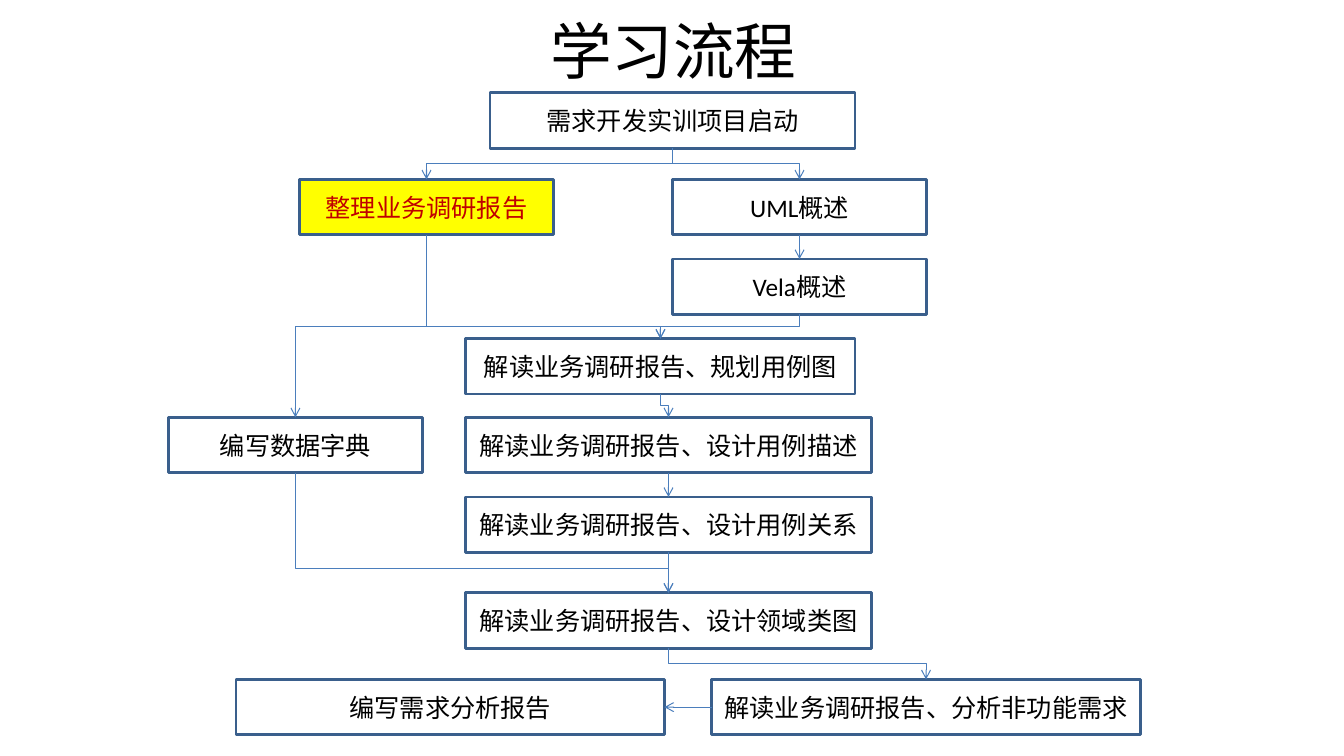
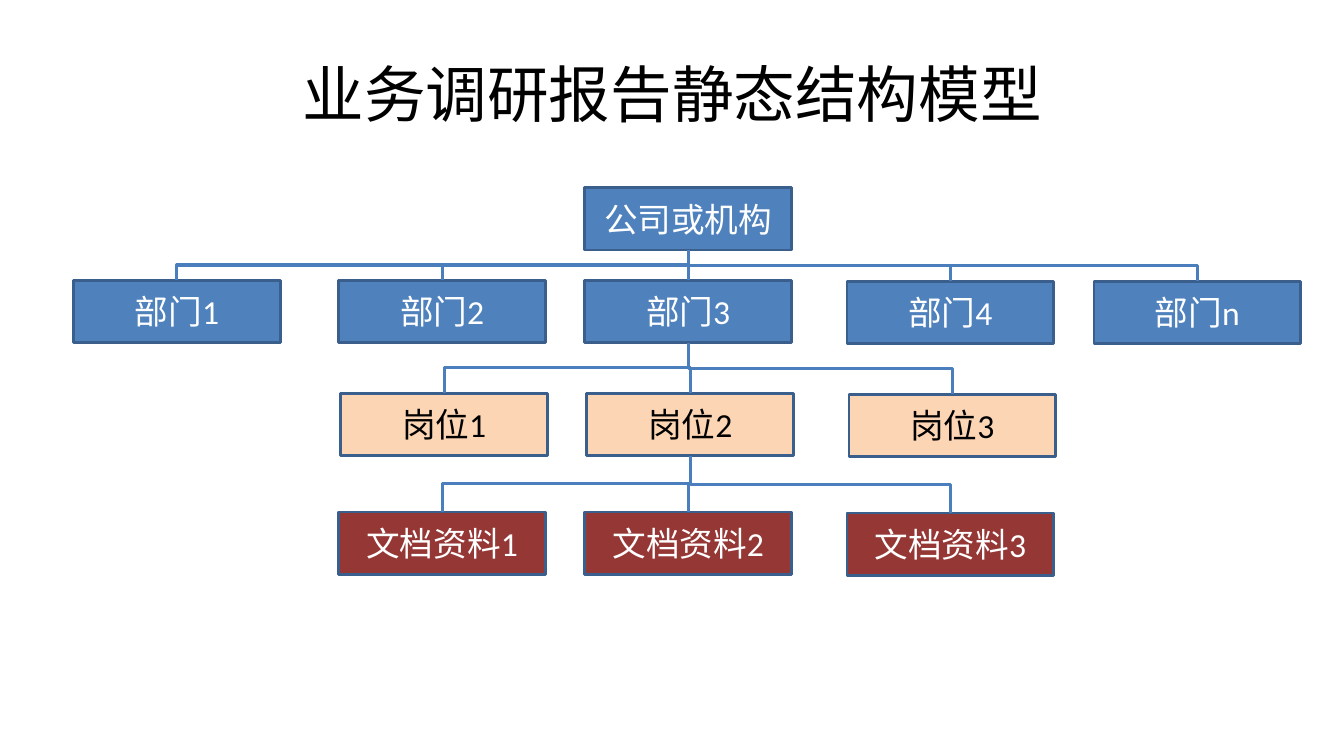
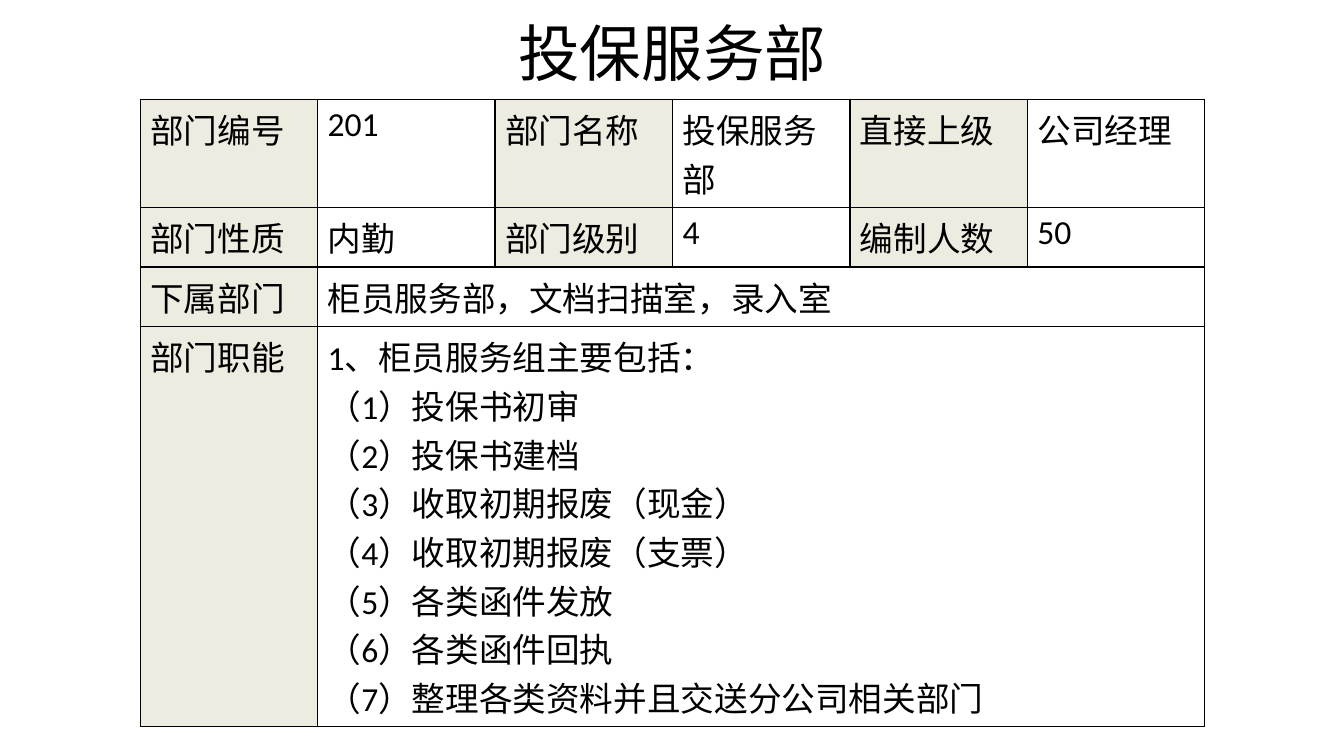
import pptx
import pptx.dml.color
import pptx.enum.shapes
import pptx.enum.text
import pptx.oxml.ns
import pptx.util

Inches = pptx.util.Inches
Pt = pptx.util.Pt
qn = pptx.oxml.ns.qn
Kind = pptx.enum.shapes.MSO_CONNECTOR

CJK = "Noto Sans CJK SC"
LATIN = "Calibri"
BLACK, WHITE, RED, YELLOW = "000000", "FFFFFF", "C00000", "FFFF00"
BLUE, PEACH, MAROON, BEIGE = "4F81BD", "FCD5B5", "953735", "EEECE1"
OUTLINE, LINK = "3A5F8C", "4B7EBC"
TOP, LEFT, BOTTOM, RIGHT = range(4)


def color(value):
    return pptx.dml.color.RGBColor.from_string(value)


def add_xml(parent, tag, **attributes):
    child = parent.makeelement(qn(tag), attributes)
    parent.append(child)
    return child


class Deck:
    """Holds the shared style and the current page, and draws each kind of element."""

    def __init__(self):
        self.file = pptx.Presentation()
        self.file.slide_width = Inches(13.33)
        self.file.slide_height = Inches(7.5)
        self.page = None

    def add_page(self, title, left, top, width, height, font=CJK):
        self.page = self.file.slides.add_slide(self.file.slide_layouts[5])
        box = self.page.shapes.title
        box.left, box.top = Inches(left), Inches(top)
        box.width, box.height = Inches(width), Inches(height)
        box.text_frame.vertical_anchor = pptx.enum.text.MSO_ANCHOR.MIDDLE
        self.add_text(box.text_frame, [title], 44, BLACK, centred=True, font=font)

    def add_text(self, frame, lines, size, ink, centred=False, font=LATIN):
        for number, line in enumerate(lines):
            para = frame.add_paragraph() if number else frame.paragraphs[0]
            if centred:
                para.alignment = pptx.enum.text.PP_ALIGN.CENTER
            span = para.add_run()
            span.text = line
            span.font.size = Pt(size)
            span.font.color.rgb = color(ink)
            span.font.name = font
            add_xml(span.font._element, "a:ea", typeface=CJK)

    def add_box(self, text, left, top, width, height, size, ink=BLACK, fill=None):
        box = self.page.shapes.add_shape(
            pptx.enum.shapes.MSO_SHAPE.RECTANGLE,
            Inches(left), Inches(top), Inches(width), Inches(height))
        box.shadow.inherit = False
        if fill:
            box.fill.solid()
            box.fill.fore_color.rgb = color(fill)
        else:
            box.fill.background()
        box.line.color.rgb = color(OUTLINE)
        box.line.width = Pt(2)
        box.text_frame.word_wrap = True
        box.text_frame.vertical_anchor = pptx.enum.text.MSO_ANCHOR.MIDDLE
        self.add_text(box.text_frame, [text], size, ink, centred=True)
        return box

    def link(self, start, end, width, arrow=False, bend=0.5, sites=(BOTTOM, TOP)):
        """Joins two boxes; a link from bottom to top leaves and arrives vertically."""
        line = self.page.shapes.add_connector(Kind.ELBOW, 0, 0, 0, 0)
        line.begin_connect(start, sites[0])
        line.end_connect(end, sites[1])
        if sites == (BOTTOM, TOP):
            self.turn(line)
        shape = line.element.spPr
        guides = shape.find(qn("a:prstGeom")).get_or_add_avLst()
        add_xml(guides, "a:gd", name="adj1", fmla=f"val {round(bend * 100000)}")
        line.line.color.rgb = color(LINK)
        line.line.width = Pt(width)
        if arrow:
            add_xml(line.line._get_or_add_ln(), "a:tailEnd", type="arrow")
        add_xml(shape, "a:effectLst")

    def turn(self, line):
        """Rotates an elbow by a quarter so that its first leg runs downwards."""
        x1, y1, x2, y2 = line.begin_x, line.begin_y, line.end_x, line.end_y
        across, down = abs(x2 - x1), y2 - y1
        frame = line.element.spPr.find(qn("a:xfrm"))
        for flip in ("flipH", "flipV"):
            frame.attrib.pop(flip, None)
        if x2 > x1:
            frame.set("flipH", "1")
        frame.set("rot", str((270 if x2 > x1 else 90) * 60000))
        line.left, line.top = (x1 + x2 - down) // 2, (y1 + y2 - across) // 2
        line.width, line.height = down, across

    def add_table(self, rows, left, top, column, heights):
        count = max(len(row) for row in rows)
        table = self.page.shapes.add_table(
            len(rows), count, Inches(left), Inches(top),
            Inches(column * count), Inches(sum(heights))).table
        table.first_row = table.horz_banding = False
        for track in table.columns:
            track.width = Inches(column)
        for track, height in zip(table.rows, heights):
            track.height = Inches(height)
        for cell in table.iter_cells():
            self.border(cell)
        for r, row in enumerate(rows):
            if len(row) < count:
                table.cell(r, len(row) - 1).merge(table.cell(r, count - 1))
            for c, text in enumerate(row):
                cell = table.cell(r, c)
                if c % 2 == 0:
                    cell.fill.solid()
                    cell.fill.fore_color.rgb = color(BEIGE)
                else:
                    cell.fill.background()
                self.add_text(cell.text_frame, text.split("\n"), 24, BLACK)

    def border(self, cell):
        for side in ("a:lnL", "a:lnR", "a:lnT", "a:lnB"):
            edge = add_xml(cell._tc.get_or_add_tcPr(), side, w=str(Pt(1)))
            add_xml(add_xml(edge, "a:solidFill"), "a:srgbClr", val=BLACK)


def draw_learning_flow(deck):
    deck.add_page("学习流程", 2.18, 0, 9, 0.99, font=LATIN)

    def step(text, left, top, width, **style):
        return deck.add_box(text, left, top, width, 0.55, 18, **style)

    start = step("需求开发实训项目启动", 4.86, 0.92, 3.62)
    report = step("整理业务调研报告", 2.97, 1.78, 2.52, ink=RED, fill=YELLOW)
    uml = step("UML概述", 6.67, 1.78, 2.52)
    tool = step("Vela概述", 6.67, 2.57, 2.52)
    plan = step("解读业务调研报告、规划用例图", 4.62, 3.36, 3.86)
    describe = step("解读业务调研报告、设计用例描述", 4.62, 4.14, 4.02)
    relate = step("解读业务调研报告、设计用例关系", 4.62, 4.93, 4.02)
    dictionary = step("编写数据字典", 1.67, 4.14, 2.52)
    classes = step("解读业务调研报告、设计领域类图", 4.62, 5.88, 4.02)
    quality = step("解读业务调研报告、分析非功能需求", 7.06, 6.74, 4.25)
    analysis = step("编写需求分析报告", 2.34, 6.74, 4.25)

    for upper, lower, bend in (
            (start, report, 0.5), (start, uml, 0.5), (uml, tool, 0.5),
            (tool, plan, 0.5), (plan, describe, 0.5), (describe, relate, 0.5),
            (relate, classes, 0.5), (report, plan, 0.88), (report, dictionary, 0.5),
            (dictionary, classes, 0.8), (classes, quality, 0.5)):
        deck.link(upper, lower, 0.75, arrow=True, bend=bend)
    deck.link(quality, analysis, 0.75, arrow=True, sites=(LEFT, RIGHT))


def draw_structure_model(deck):
    deck.add_page("业务调研报告静态结构模型", 0.67, 0.3, 12, 1.25)

    def level(names, lefts, top, fill, ink=WHITE):
        return [deck.add_box(name, left, top + (0.01 if left > 8 else 0), 2.05, 0.62, 24, ink, fill)
                for name, left in zip(names, lefts)]

    middle = (3.36, 5.8, 8.4)
    company = level(["公司或机构"], [5.8], 1.86, BLUE)
    departments = level([f"部门{n}" for n in "1234n"], (0.73, *middle, 10.85), 2.78, BLUE)
    posts = level([f"岗位{n}" for n in "123"], [x + 0.02 for x in middle], 3.9, PEACH, BLACK)
    documents = level([f"文档资料{n}" for n in "123"], middle, 5.08, MAROON)
    for parent, children in (
            (company[0], departments), (departments[2], posts), (posts[1], documents)):
        for child in children:
            deck.link(parent, child, 2.25)


def draw_department(deck):
    deck.add_page("投保服务部", 0.67, -0.11, 12, 1.25)
    duties = ["投保书初审", "投保书建档", "收取初期报废（现金）", "收取初期报废（支票）",
              "各类函件发放", "各类函件回执", "整理各类资料并且交送分公司相关部门"]
    listing = [f"（{n}）{duty}" for n, duty in enumerate(duties, 1)]
    deck.add_table([
        ["部门编号", "201", "部门名称", "投保服务部", "直接上级", "公司经理"],
        ["部门性质", "内勤", "部门级别", "4", "编制人数", "50"],
        ["下属部门", "柜员服务部，文档扫描室，录入室"],
        ["部门职能", "\n".join(["1、柜员服务组主要包括："] + listing)],
    ], 1.39, 0.99, 1.76, [1.07, 0.59, 0.59, 3.97])


def main():
    deck = Deck()
    draw_learning_flow(deck)
    draw_structure_model(deck)
    draw_department(deck)
    deck.file.save("out.pptx")


if __name__ == "__main__":
    main()
